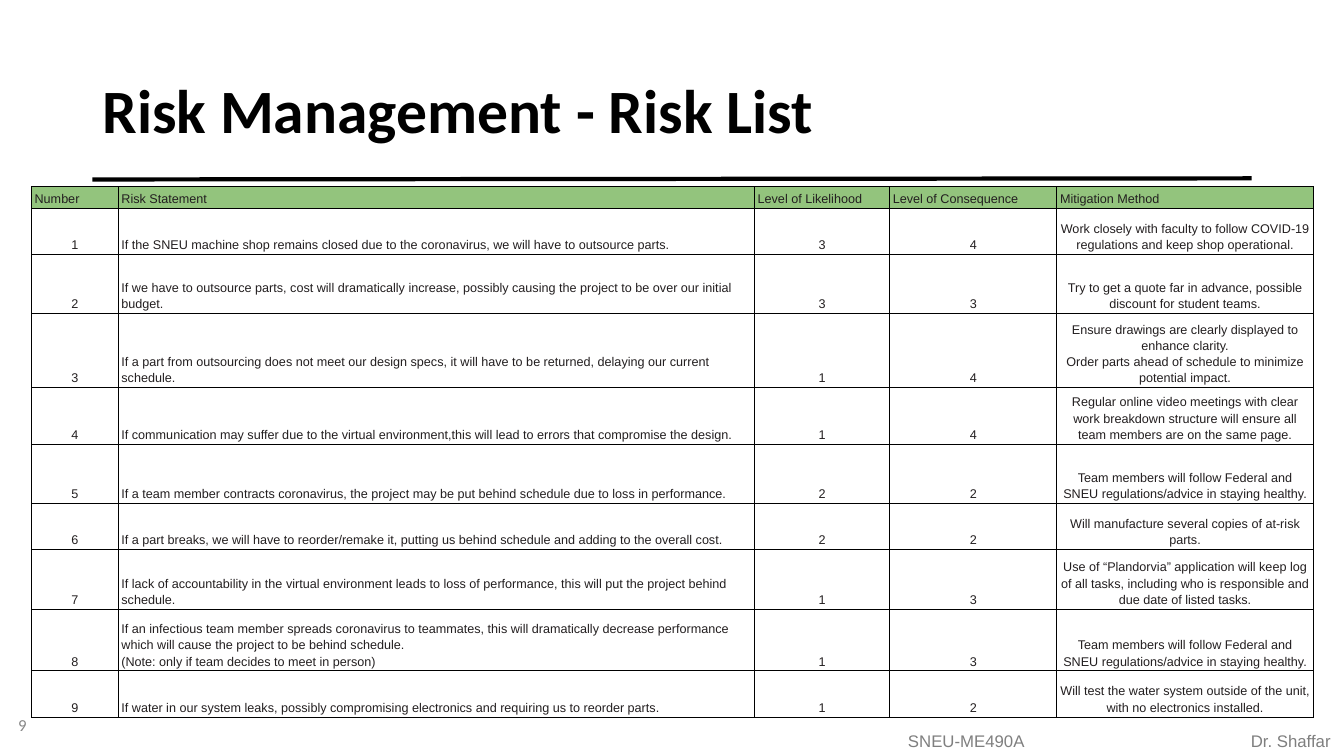
import pptx
import pptx.util
import pptx.dml.color
import pptx.enum.shapes
import pptx.enum.text
import pptx.oxml
import lxml.etree
from dataclasses import dataclass

Pt = pptx.util.Pt
ALIGN = pptx.enum.text.PP_ALIGN
ANCHOR = pptx.enum.text.MSO_ANCHOR

TITLE = "Risk Management - Risk List"
PAGE_NUMBER = "9"
FOOTER = "\tSNEU-ME490A\tDr. Shaffar"
HEADINGS = ("Number", "Risk Statement", "Level of Likelihood", "Level of Consequence", "Mitigation Method")
RISKS = [
    ("If the SNEU machine shop remains closed due to the coronavirus, we will have to outsource parts.", 3, 4,
     "Work closely with faculty to follow COVID-19 regulations and keep shop operational."),
    ("If we have to outsource parts, cost will dramatically increase, possibly causing the project to be over our initial budget.", 3, 3,
     "Try to get a quote far in advance, possible discount for student teams."),
    ("If a part from outsourcing does not meet our design specs, it will have to be returned, delaying our current schedule.", 1, 4,
     "Ensure drawings are clearly displayed to enhance clarity.\nOrder parts ahead of schedule to minimize potential impact."),
    ("If communication may suffer due to the virtual environment,this will lead to errors that compromise the design.", 1, 4,
     "Regular online video meetings with clear work breakdown structure will ensure all team members are on the same page."),
    ("If a team member contracts coronavirus, the project may be put behind schedule due to loss in performance.", 2, 2,
     "Team members will follow Federal and SNEU regulations/advice in staying healthy."),
    ("If a part breaks, we will have to reorder/remake it, putting us behind schedule and adding to the overall cost.", 2, 2,
     "Will manufacture several copies of at-risk parts."),
    ("If lack of accountability in the virtual environment leads to loss of performance, this will put the project behind schedule.", 1, 3,
     "Use of “Plandorvia” application will keep log of all tasks, including who is responsible and due date of listed tasks."),
    ("If an infectious team member spreads coronavirus to teammates, this will dramatically decrease performance which will cause the project to be behind schedule.\n(Note: only if team decides to meet in person)", 1, 3,
     "Team members will follow Federal and SNEU regulations/advice in staying healthy."),
    ("If water in our system leaks, possibly compromising electronics and requiring us to reorder parts.", 1, 2,
     "Will test the water system outside of the unit, with no electronics installed."),
]
COLUMN_WIDTHS = (62, 454.5, 96.5, 119.5, 183)
ROW_HEIGHTS = (11.5, 33, 42.5, 42.5, 37.5, 42.5, 33, 42.5, 44, 33)
FOOTER_STOPS = ((66, "l"), (368, "r"))


@dataclass(frozen=True)
class Theme:
    """Colours, fonts and type sizes of the slide."""
    black: str = "000000"
    ink: str = "231F20"
    footer: str = "7F7F7F"
    number: str = "888888"
    header: str = "93C47D"
    heading_font: str = "Calibri"
    body_font: str = "Arial"
    title_size: float = 44
    footer_size: float = 12
    table_size: float = 9
    border: float = 0.75
    rule: float = 3


THEME = Theme()


def rgb(colour):
    """Turn a hex string into a colour."""
    return pptx.dml.color.RGBColor.from_string(colour)


def style_text(frame, font, size, colour, bold=False, align=ALIGN.LEFT, spacing=None):
    """Format every paragraph and run of a text frame."""
    for para in frame.paragraphs:
        para.alignment = align
        para.line_spacing = spacing
        for span in para.runs:
            span.font.name = font
            span.font.size = Pt(size)
            span.font.bold = bold
            span.font.color.rgb = rgb(colour)


def add_label(page, text, left, top, width, height, anchor, font, colour):
    """Add a footer text box and return it."""
    box = page.shapes.add_textbox(Pt(left), Pt(top), Pt(width), Pt(height))
    frame = box.text_frame
    frame.word_wrap = True
    frame.vertical_anchor = anchor
    frame.text = text
    style_text(frame, font, THEME.footer_size, colour)
    return box


def set_tab_stops(para, stops):
    """Give a paragraph its tab stops."""
    tag = pptx.oxml.ns.qn
    tabs = lxml.etree.SubElement(para._p.get_or_add_pPr(), tag("a:tabLst"))
    for position, align in stops:
        lxml.etree.SubElement(tabs, tag("a:tab"), pos=str(Pt(position)), algn=align)


def set_borders(cell):
    """Draw a thin line on all four sides of a cell."""
    tag = pptx.oxml.ns.qn
    properties = cell._tc.get_or_add_tcPr()
    for index, side in enumerate(("lnL", "lnR", "lnT", "lnB")):
        line = lxml.etree.Element(tag("a:" + side), w=str(Pt(THEME.border)))
        fill = lxml.etree.SubElement(line, tag("a:solidFill"))
        lxml.etree.SubElement(fill, tag("a:srgbClr"), val=THEME.black)
        properties.insert(index, line)


def fill_cell(cell, text, is_header, align):
    """Write and format one table cell."""
    cell.margin_left = cell.margin_right = Pt(2.25)
    cell.margin_top = cell.margin_bottom = Pt(1.5)
    cell.vertical_anchor = ANCHOR.BOTTOM
    cell.text_frame.text = text
    style_text(cell.text_frame, THEME.body_font, THEME.table_size, THEME.ink, align=align, spacing=1.15)
    if is_header:
        cell.fill.solid()
        cell.fill.fore_color.rgb = rgb(THEME.header)
    else:
        cell.fill.background()
    set_borders(cell)


def add_risk_table(page):
    """Add the numbered risk table."""
    rows = [HEADINGS] + [(number, *risk) for number, risk in enumerate(RISKS, 1)]
    table = page.shapes.add_table(len(rows), len(HEADINGS), Pt(22.5), Pt(133.2),
                                  Pt(sum(COLUMN_WIDTHS)), Pt(sum(ROW_HEIGHTS))).table
    table.first_row = table.horz_banding = False
    for column, width in zip(table.columns, COLUMN_WIDTHS):
        column.width = Pt(width)
    for row, height in zip(table.rows, ROW_HEIGHTS):
        row.height = Pt(height)
    for row_index, values in enumerate(rows):
        for column_index, value in enumerate(values):
            is_header = row_index == 0
            align = ALIGN.LEFT if is_header or column_index == 1 else ALIGN.CENTER
            fill_cell(table.cell(row_index, column_index), str(value), is_header, align)


def main():
    """Build the risk list slide."""
    deck = pptx.Presentation()
    deck.slide_width, deck.slide_height = Pt(960), Pt(540)
    page = deck.slides.add_slide(deck.slide_layouts[5])

    title = page.shapes.title
    title.left, title.top, title.width, title.height = Pt(66), Pt(29), Pt(828), Pt(104)
    title.text_frame.text = TITLE
    title.text_frame.vertical_anchor = ANCHOR.MIDDLE
    style_text(title.text_frame, THEME.heading_font, THEME.title_size, THEME.black, bold=True, spacing=0.9)

    footer = add_label(page, FOOTER, 575.5, 518.4, 384, 21.6, ANCHOR.TOP, THEME.body_font, THEME.footer)
    set_tab_stops(footer.text_frame.paragraphs[0], FOOTER_STOPS)
    add_label(page, PAGE_NUMBER, 5.8, 503.3, 216, 28.8, ANCHOR.MIDDLE, THEME.heading_font, THEME.number)

    rule = page.shapes.add_connector(pptx.enum.shapes.MSO_CONNECTOR.STRAIGHT, Pt(66), Pt(128.2), Pt(894), Pt(127.4))
    rule.line.color.rgb = rgb(THEME.black)
    rule.line.width = Pt(THEME.rule)
    lxml.etree.SubElement(rule._element.spPr, pptx.oxml.ns.qn("a:effectLst"))

    add_risk_table(page)
    deck.save("out.pptx")


if __name__ == "__main__":
    main()
